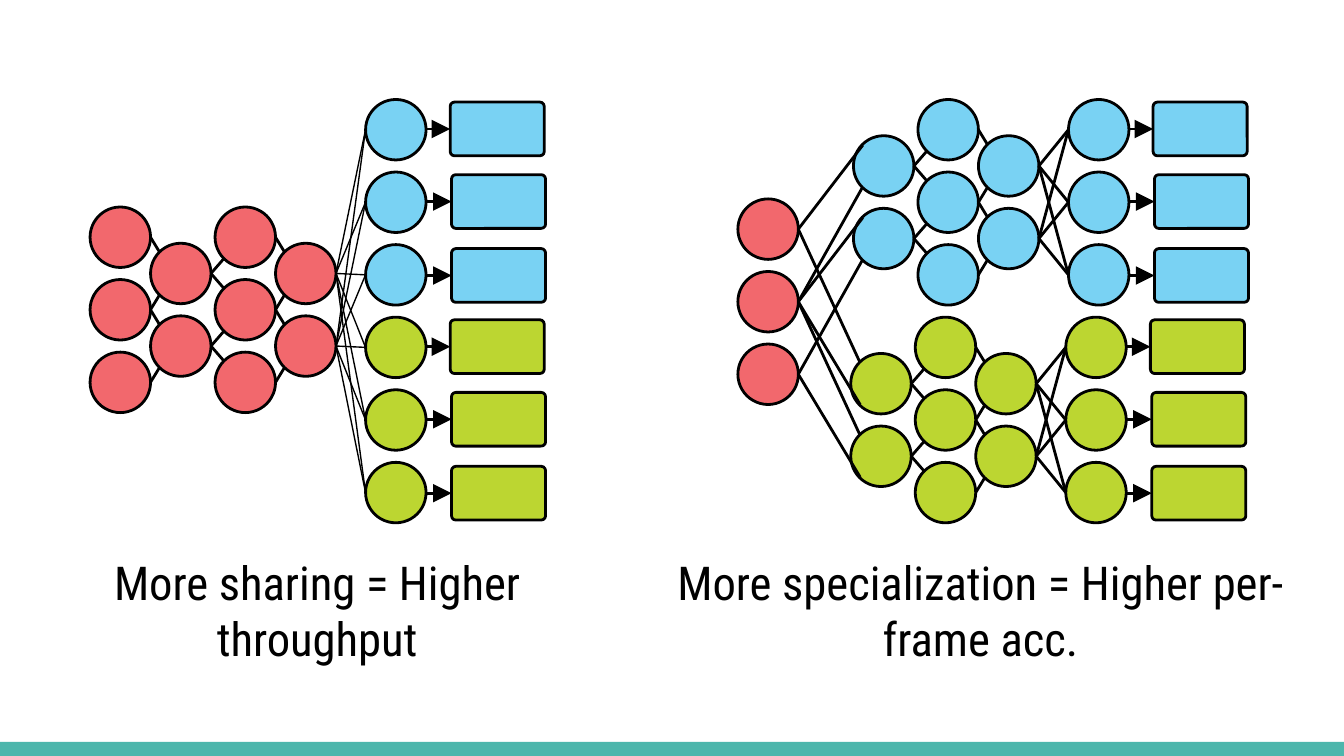
from lxml import etree
from pptx import Presentation
from pptx.dml.color import RGBColor
from pptx.enum import shapes as sh, text as tx
from pptx.oxml.ns import qn
from pptx.util import Inches, Pt


def hue(form, code):
    if hasattr(form, "solid"):
        form.solid()
        form.fore_color.rgb = RGBColor.from_string(code)
    else:
        form.color.rgb = RGBColor.from_string(code)


def write(words, x, y, w, h, size=25, font="Roboto Condensed", code="000000"):
    frame = slide.shapes.add_textbox(Inches(x), Inches(y), Inches(w), Inches(h)).text_frame
    frame.word_wrap = True
    frame.vertical_anchor = tx.MSO_ANCHOR.TOP
    frame.margin_left = frame.margin_right = Inches(0.1)
    frame.margin_top = frame.margin_bottom = Inches(0.1)
    para = frame.paragraphs[0]
    para.text = words
    para.alignment = tx.PP_ALIGN.CENTER
    para.font.size = Pt(size)
    para.font.name = font
    hue(para.font, code)


deck = Presentation()
deck.slide_width = Inches(10)
deck.slide_height = deck.slide_width * 9 // 16
slide = deck.slides.add_slide(deck.slide_layouts[6])

black, teal = "000000", "4DB6AC"
red, green, blue = "F2686D", "BCD631", "79D2F3"
size, step = 0.45, 0.54

bar = slide.shapes.add_shape(sh.MSO_SHAPE.RECTANGLE, 0, Inches(5.52), Inches(10), Inches(0.11))
bar.shadow.inherit = False
hue(bar.fill, teal)
bar.line.fill.background()

# Layers of nodes: left, top, count, colour
layers = {
    "a1": (0.67, 1.54, 3, red),
    "a2": (1.12, 1.81, 2, red),
    "a3": (1.6, 1.54, 3, red),
    "a4": (2.05, 1.81, 2, red),
    "ag": (2.72, 2.36, 3, green),
    "ab": (2.72, 0.74, 3, blue),
    "b": (5.49, 1.48, 3, red),
}
# Links between layers: start, end, kind, width
links = [
    ("a1", "a2", "merge", 1.5),
    ("a2", "a3", "split", 1.5),
    ("a3", "a4", "merge", 1.5),
    ("a4", "ag", "full", 0.75),
    ("a4", "ab", "full", 0.75),
]
for key, x, y, code in [("g", 6.33, 2.36, green), ("b", 6.35, 0.74, blue)]:
    layers[key + "1"] = (x, y + step / 2, 2, code)
    layers[key + "2"] = (x + 0.48, y, 3, code)
    layers[key + "3"] = (x + 0.93, y + step / 2, 2, code)
    layers[key + "4"] = (x + 1.6, y, 3, code)
    links += [
        ("b", key + "1", "merge", 1.5),
        (key + "1", key + "2", "split", 1.5),
        (key + "2", key + "3", "merge", 1.5),
        (key + "3", key + "4", "full", 1.5),
    ]

for x, y, count, code in layers.values():
    for i in range(count):
        node = slide.shapes.add_shape(sh.MSO_SHAPE.OVAL, Inches(x), Inches(y + i * step),
                                      Inches(size), Inches(size))
        node.shadow.inherit = False
        hue(node.fill, code)
        hue(node.line, black)
        node.line.width = Pt(1.5)

# Each pair: start index, end index, offset of the end point in its node
high, low, mid = (0.07, 0.07), (0.07, 0.38), (0, size / 2)
pairs = {
    "merge": [(0, 0, high), (1, 0, low), (1, 1, high), (2, 1, low)],
    "split": [(0, 0, low), (0, 1, high), (1, 1, low), (1, 2, high)],
    "full": [(i, j, mid) for i in range(2) for j in range(3)],
}
for start, end, kind, width in links:
    x1, y1 = layers[start][:2]
    x2, y2 = layers[end][:2]
    for i, j, (dx, dy) in pairs[kind]:
        wire = slide.shapes.add_connector(
            sh.MSO_CONNECTOR.STRAIGHT,
            Inches(x1 + size), Inches(y1 + i * step + size / 2),
            Inches(x2 + dx), Inches(y2 + j * step + dy))
        hue(wire.line, black)
        wire.line.width = Pt(width)
        etree.SubElement(wire._element.spPr, qn("a:effectLst"))

for key in ["ag", "ab", "g4", "b4"]:
    x, y, count, code = layers[key]
    for i in range(count):
        left = x + 0.63 + (0.01 if i else 0)
        top = y + 0.02 + i * step + (0.01 if i == 2 else 0)
        box = slide.shapes.add_shape(sh.MSO_SHAPE.ROUNDED_RECTANGLE, Inches(left),
                                     Inches(top), Inches(0.7), Inches(0.4))
        box.adjustments[0] = 0.08
        box.shadow.inherit = False
        hue(box.fill, code)
        hue(box.line, black)
        box.line.width = Pt(1.5)
        level = Inches(top + 0.2)
        arrow = slide.shapes.add_connector(sh.MSO_CONNECTOR.STRAIGHT, Inches(x + size), level,
                                           Inches(left), level)
        arrow.end_connect(box, 1)
        hue(arrow.line, black)
        arrow.line.width = Pt(1.5)
        etree.SubElement(arrow.line._get_or_add_ln(), qn("a:tailEnd"),
                         type="triangle", w="lg", len="lg")
        etree.SubElement(arrow._element.spPr, qn("a:effectLst"))

write("More sharing = Higher throughput", 0.36, 4.02, 4, 0.57)
write("More specialization = Higher per-frame acc.", 4.85, 4.02, 4.89, 0.57)

deck.save("out.pptx")
